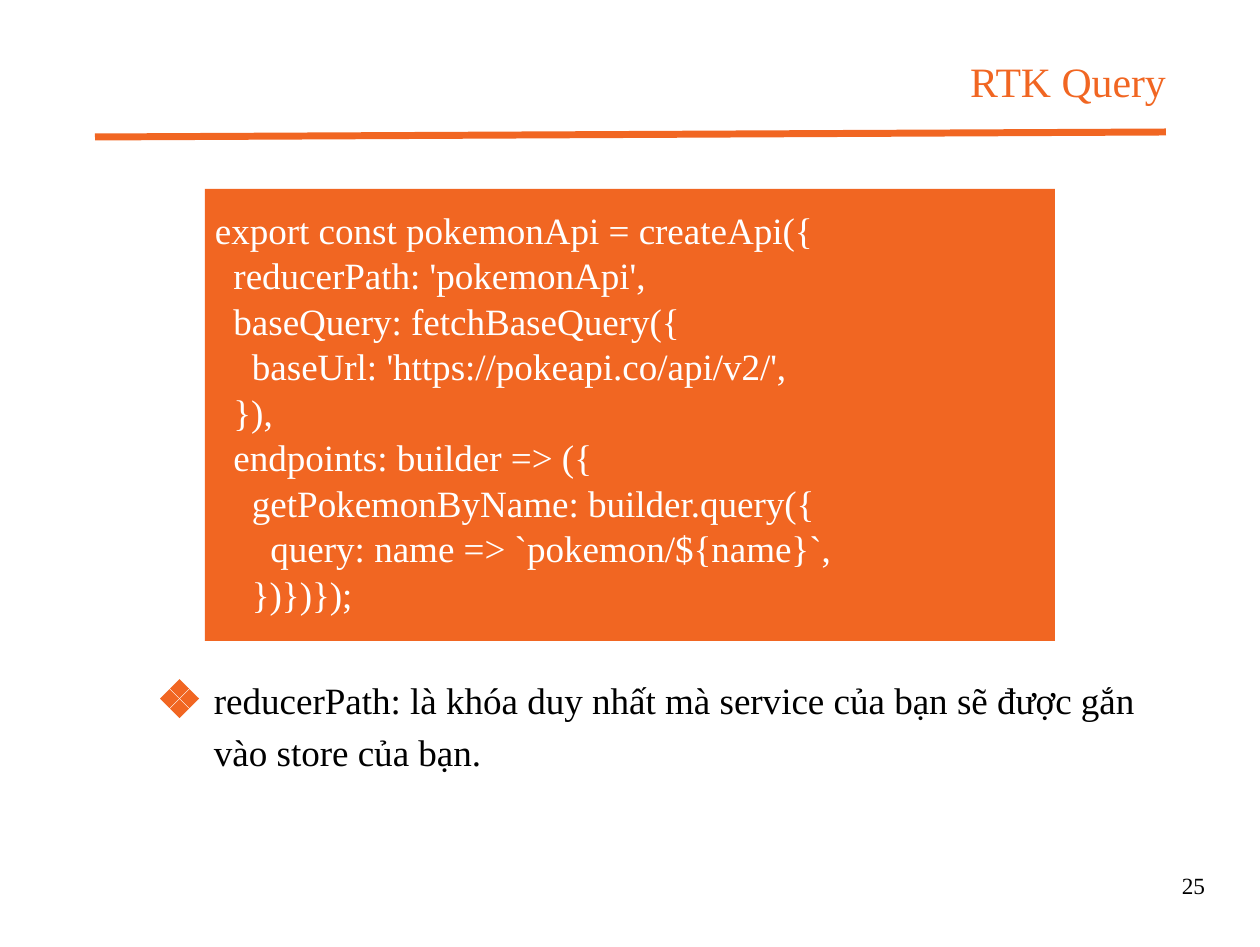
from lxml import etree
from pptx import Presentation
from pptx.dml.color import RGBColor
from pptx.enum.shapes import MSO_CONNECTOR, MSO_SHAPE
from pptx.enum.text import MSO_ANCHOR, MSO_AUTO_SIZE, PP_ALIGN
from pptx.oxml.ns import qn
from pptx.util import Pt

PX = 5472  # EMU in one px
ORANGE, BLACK, WHITE = "F16622", "000000", "FFFFFF"
FONT = "Times New Roman"

CODE = """export const pokemonApi = createApi({
  reducerPath: 'pokemonApi',
  baseQuery: fetchBaseQuery({
    baseUrl: 'https://pokeapi.co/api/v2/',
  }),
  endpoints: builder => ({
    getPokemonByName: builder.query({
      query: name => `pokemon/${name}`,
    })})});"""
NOTE = "reducerPath: là khóa duy nhất mà service của bạn sẽ được gắn vào store của bạn."


def px(*lengths):
    return [length * PX for length in lengths]


def color(value):
    return RGBColor.from_string(value)


def set_values(target, values):
    for name, value in values.items():
        setattr(target, name, value)


def write(box, text, size, spacing, hue, align=PP_ALIGN.LEFT,
          anchor=MSO_ANCHOR.TOP, margins=(0, 0, 0, 0)):
    frame = box.text_frame
    left, top, right, bottom = px(*margins)
    set_values(frame, {
        "word_wrap": True, "auto_size": MSO_AUTO_SIZE.NONE,
        "vertical_anchor": anchor, "margin_left": left, "margin_top": top,
        "margin_right": right, "margin_bottom": bottom})
    for index, line in enumerate(text.split("\n")):
        para = frame.add_paragraph() if index else frame.paragraphs[0]
        set_values(para, {"alignment": align, "line_spacing": Pt(spacing)})
        span = para.add_run()
        span.text = line
        set_values(span.font, {"name": FONT, "size": Pt(size)})
        span.font.color.rgb = color(hue)


def add_title(page, text):
    title = page.shapes.title
    set_values(title, dict(zip(("left", "top", "width", "height"),
                               px(353, 47, 813, 58))))
    write(title, text, 18, 25.2, ORANGE, PP_ALIGN.RIGHT)


def add_text(page, bounds, *args):
    write(page.shapes.add_textbox(*px(*bounds)), *args)


def add_rule(page, *ends):
    rule = page.shapes.add_connector(MSO_CONNECTOR.STRAIGHT, *px(*ends))
    rule.line.color.rgb = color(ORANGE)
    rule.line.width = Pt(3)
    etree.SubElement(rule._element.spPr, qn("a:effectLst"))


def add_block(page, kind, *bounds):
    block = page.shapes.add_shape(kind, *px(*bounds))
    block.shadow.inherit = False
    block.fill.solid()
    block.fill.fore_color.rgb = color(ORANGE)
    block.line.fill.background()
    return block


def add_diamond_bullet(page, center_x, center_y, step=10, size=19):
    for dx, dy in ((0, -1), (1, 0), (0, 1), (-1, 0)):
        add_block(page, MSO_SHAPE.DIAMOND,
                  center_x + dx * step - size // 2,
                  center_y + dy * step - size // 2, size, size)


def main():
    deck = Presentation()
    deck.slide_width, deck.slide_height = px(1260, 947)
    page = deck.slides.add_slide(deck.slide_layouts[5])

    # Heading
    add_title(page, "RTK Query")
    add_rule(page, 95, 137, 1166, 132)

    # Code panel
    panel = add_block(page, MSO_SHAPE.RECTANGLE, 205, 189, 850, 452)
    write(panel, CODE, 16, 19.6, WHITE, anchor=MSO_ANCHOR.MIDDLE,
          margins=(10, 10, 10, 18))

    # Explanation
    add_diamond_bullet(page, 179, 698)
    add_text(page, (214, 670, 952, 102), NOTE, 16, 22.4, BLACK)

    # Page number
    add_text(page, (1166, 867, 39, 33), "25", 10, 14, BLACK, PP_ALIGN.RIGHT)

    deck.save("out.pptx")


if __name__ == "__main__":
    main()
